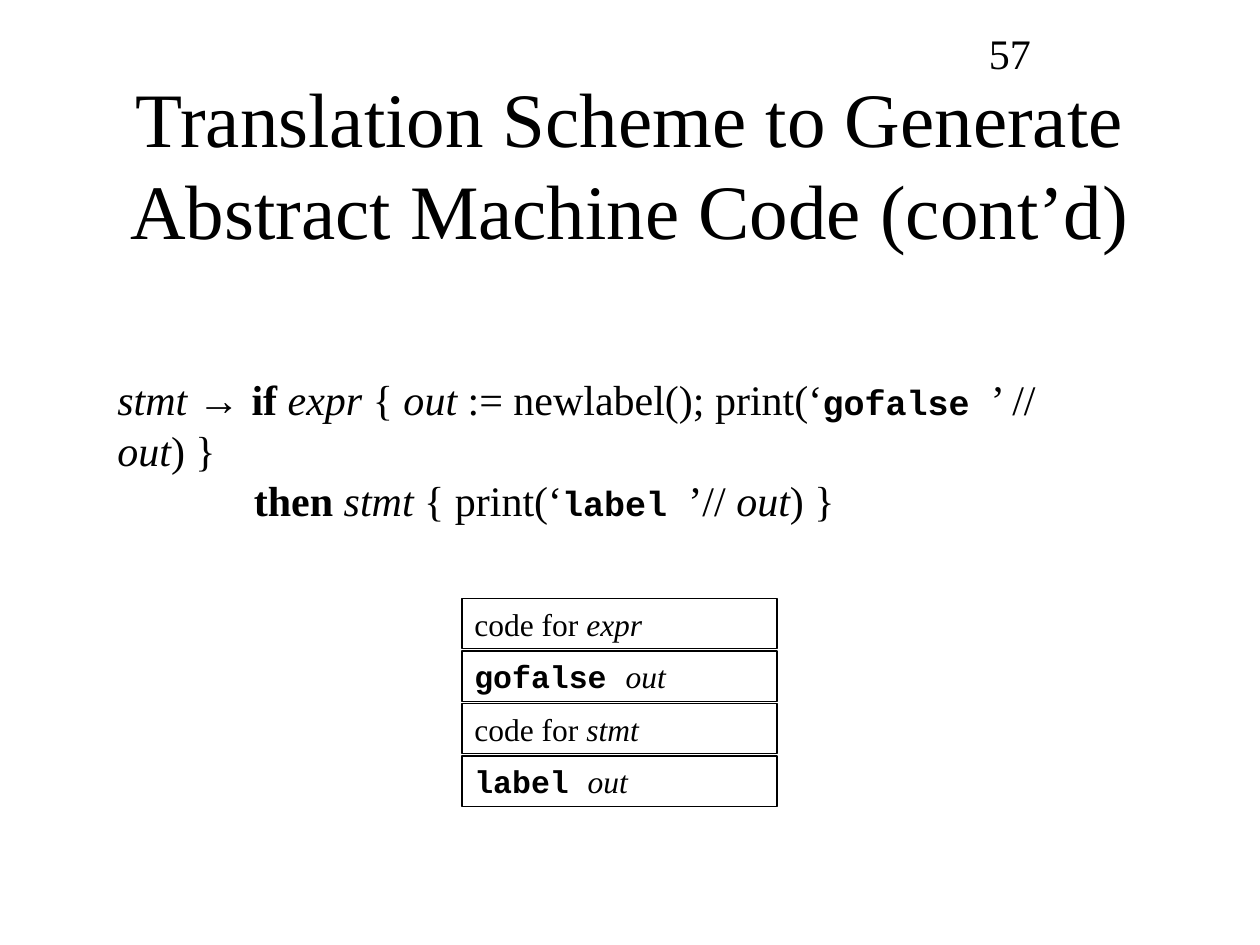
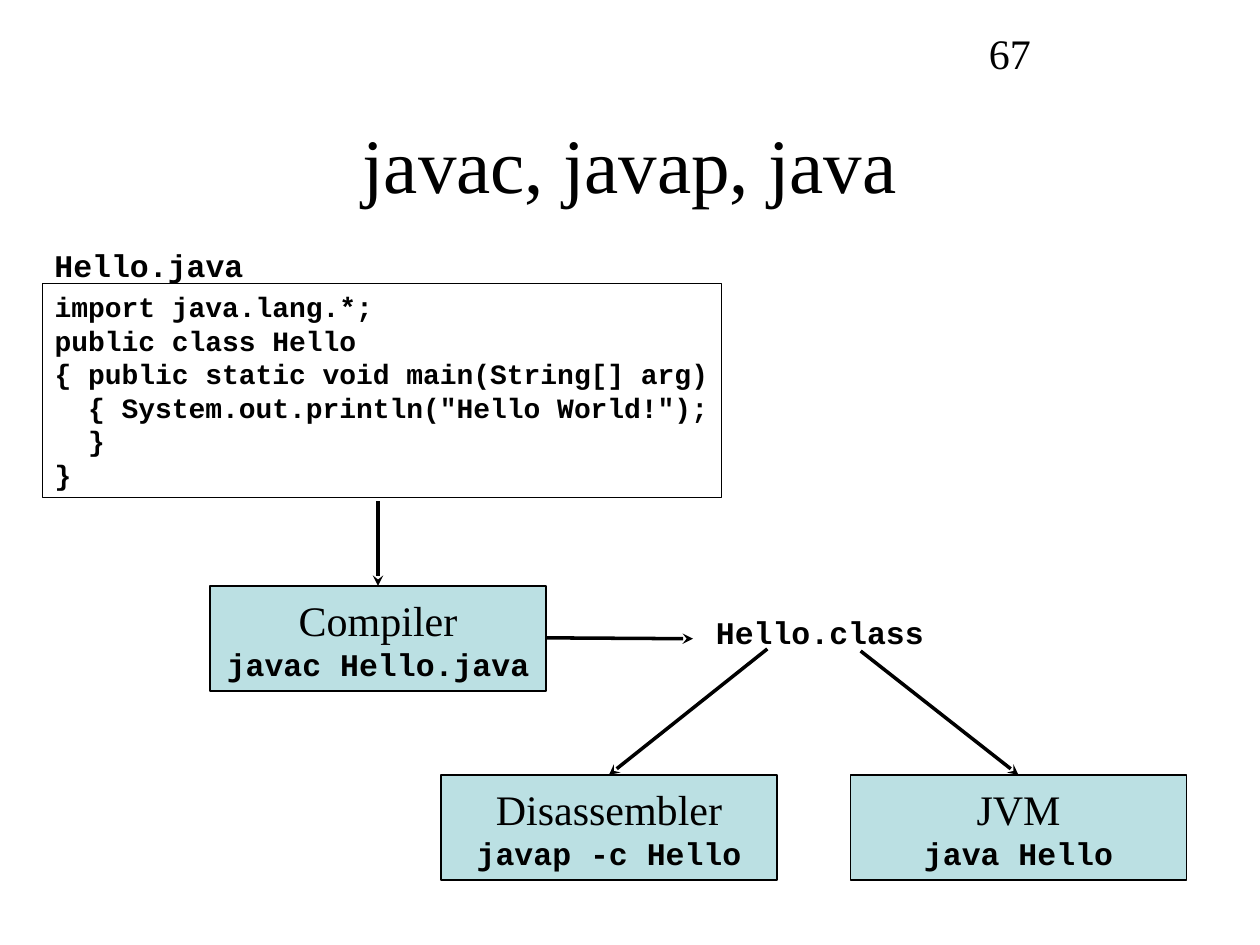
from pptx import Presentation
from pptx.dml.color import RGBColor
from pptx.enum.shapes import MSO_CONNECTOR, MSO_SHAPE
from pptx.enum.text import MSO_ANCHOR, MSO_AUTO_SIZE, PP_ALIGN
from pptx.oxml.ns import qn
from pptx.util import Pt
from lxml import etree

LEFT, CENTER = PP_ALIGN.LEFT, PP_ALIGN.CENTER
TOP, MIDDLE = MSO_ANCHOR.TOP, MSO_ANCHOR.MIDDLE
FIXED = MSO_AUTO_SIZE.NONE
RECT, LINE = MSO_SHAPE.RECTANGLE, MSO_CONNECTOR.STRAIGHT
COLORS = {"ink": "000000", "tool": "BBE0E3"}
SERIF, MONO, SANS = "Times New Roman", "Courier New", "Arial"
STYLES = {
    "plain": (SERIF, False, False),
    "name": (SERIF, False, True),
    "key": (SERIF, True, False),
    "code": (MONO, True, False),
    "sign": (SANS, False, False),
}
TITLE_ONLY = 5
LEADING = 1.2


class Deck:
    """Hold the shared style and the current slide, and draw each kind of element."""

    def __init__(self):
        self.prs = Presentation()
        self.prs.slide_width, self.prs.slide_height = Pt(720), Pt(540)
        self.slide = None

    def color(self, name):
        return RGBColor.from_string(COLORS[name])

    def page(self, title, number):
        layout = self.prs.slide_layouts[TITLE_ONLY]
        self.slide = self.prs.slides.add_slide(layout)
        head = self.slide.shapes.title
        head.left, head.top, head.width, head.height = Pt(54), Pt(48), Pt(612), Pt(90)
        self.label(head, [(44, [(title, "plain")])], CENTER, MIDDLE)
        self.text((558, 12, 150, 35), [(24, [(number, "plain")])])

    def label(self, shape, lines, align=LEFT, anchor=TOP, wrap=True):
        frame = shape.text_frame
        frame.word_wrap, frame.auto_size = wrap, FIXED
        frame.vertical_anchor = anchor
        frame.margin_left = frame.margin_right = Pt(7.2)
        frame.margin_top = frame.margin_bottom = Pt(3.6)
        for index, (size, parts) in enumerate(lines):
            para = frame.add_paragraph() if index else frame.paragraphs[0]
            para.alignment = align
            para.line_spacing = Pt(size * LEADING)
            for words, style, *small in parts:
                run = para.add_run()
                run.text = words
                font = run.font
                font.name, font.bold, font.italic = STYLES[style]
                font.size = Pt(small[0] if small else size)
                font.color.rgb = self.color("ink")

    def text(self, place, lines, wrap=True):
        box = self.slide.shapes.add_textbox(*map(Pt, place))
        self.label(box, lines, wrap=wrap)
        return box

    def box(self, place, lines, fill=None, align=LEFT, anchor=TOP, wrap=True):
        shape = self.slide.shapes.add_shape(RECT, *map(Pt, place))
        shape.shadow.inherit = False
        if fill:
            shape.fill.solid()
            shape.fill.fore_color.rgb = self.color(fill)
        else:
            shape.fill.background()
        shape.line.color.rgb = self.color("ink")
        shape.line.width = Pt(0.75)
        self.label(shape, lines, align, anchor, wrap)

    def tool(self, left, top, name, call):
        lines = [(24, [(name, "plain")]), (18, [(call, "code")])]
        self.box((left, top, 192, 60), lines, "tool", CENTER, MIDDLE, False)

    def arrow(self, *ends):
        link = self.slide.shapes.add_connector(LINE, *map(Pt, ends))
        link.line.color.rgb = self.color("ink")
        link.line.width = Pt(2)
        props = link.element.spPr
        etree.SubElement(props.find(qn("a:ln")), qn("a:tailEnd"), type="stealth")
        etree.SubElement(props, qn("a:effectLst"))


def scheme(deck):
    deck.page("Translation Scheme to Generate Abstract Machine Code (cont’d)", "57")
    rule = [
        ("stmt ", "name"), ("→ ", "sign"), ("if ", "key"), ("expr ", "name"),
        ("{ ", "plain"), ("out", "name"), (" := newlabel(); print(‘", "plain"),
        ("gofalse ", "code", 20), ("’ // ", "plain"), ("out", "name"), (") }", "plain"),
    ]
    then = [
        ("then ", "key"), ("stmt ", "name"), ("{ print(‘", "plain"),
        ("label ", "code", 20), ("’// ", "plain"), ("out", "name"), (") }", "plain"),
    ]
    box = deck.text((60, 210, 590, 94), [(24, rule), (24, then)])
    indent = box.text_frame.paragraphs[1]._p.get_or_add_pPr()
    indent.set("marL", str(Pt(78)))
    indent.set("indent", "0")
    rows = [
        [("code for ", "plain"), ("expr", "name")],
        [("gofalse ", "code"), ("out", "name")],
        [("code for ", "plain"), ("stmt", "name")],
        [("label ", "code"), ("out", "name")],
    ]
    for index, parts in enumerate(rows):
        deck.box((264, 342 + 30 * index, 180, 28.8), [(18, parts)])


def tools(deck):
    deck.page("javac, javap, java", "67")
    source = [
        "import java.lang.*;",
        "public class Hello",
        "{ public static void main(String[] arg)",
        '  { System.out.println("Hello World!");',
        "  }",
        "}",
    ]
    code = [(16, [(line, "code")]) for line in source]
    deck.box((24.2, 162, 388, 122.4), code, wrap=False)
    for left, top, width, name in [
        (24, 136.8, 122, "Hello.java"),
        (402, 346.5, 133, "Hello.class"),
    ]:
        deck.text((left, top, width, 28.8), [(18, [(name, "code")])], wrap=False)
    for left, top, name, call in [
        (120, 334.8, "Compiler", "javac Hello.java"),
        (252, 442.8, "Disassembler", "javap -c Hello"),
        (486, 442.8, "JVM", "java Hello"),
    ]:
        deck.tool(left, top, name, call)
    for ends in [
        (216, 286.5, 216, 334.8),
        (312, 364.5, 396, 365),
        (438.5, 370.8, 348, 442.8),
        (491.8, 372, 582, 442.8),
    ]:
        deck.arrow(*ends)


def main():
    deck = Deck()
    scheme(deck)
    tools(deck)
    deck.prs.save("out.pptx")


if __name__ == "__main__":
    main()
